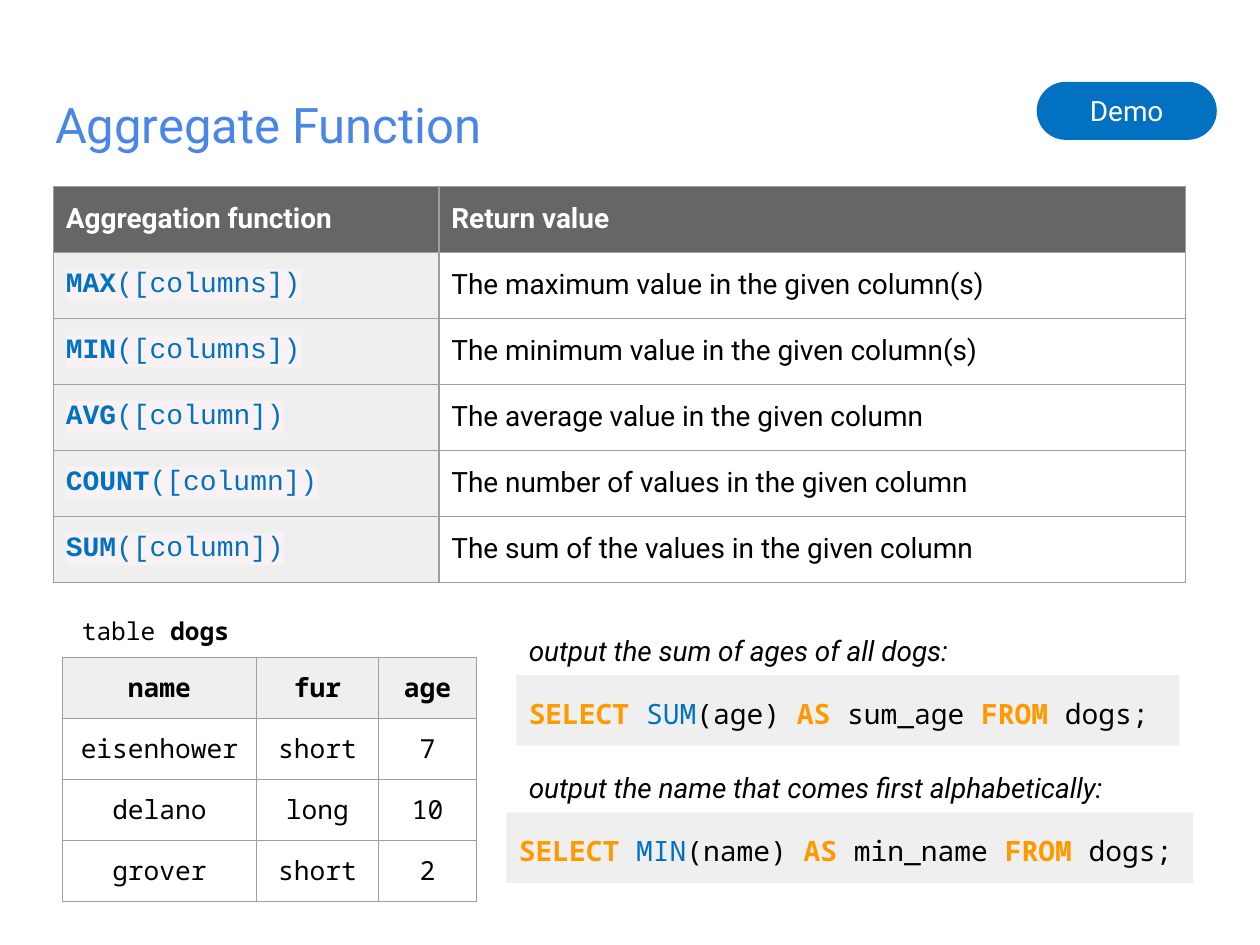
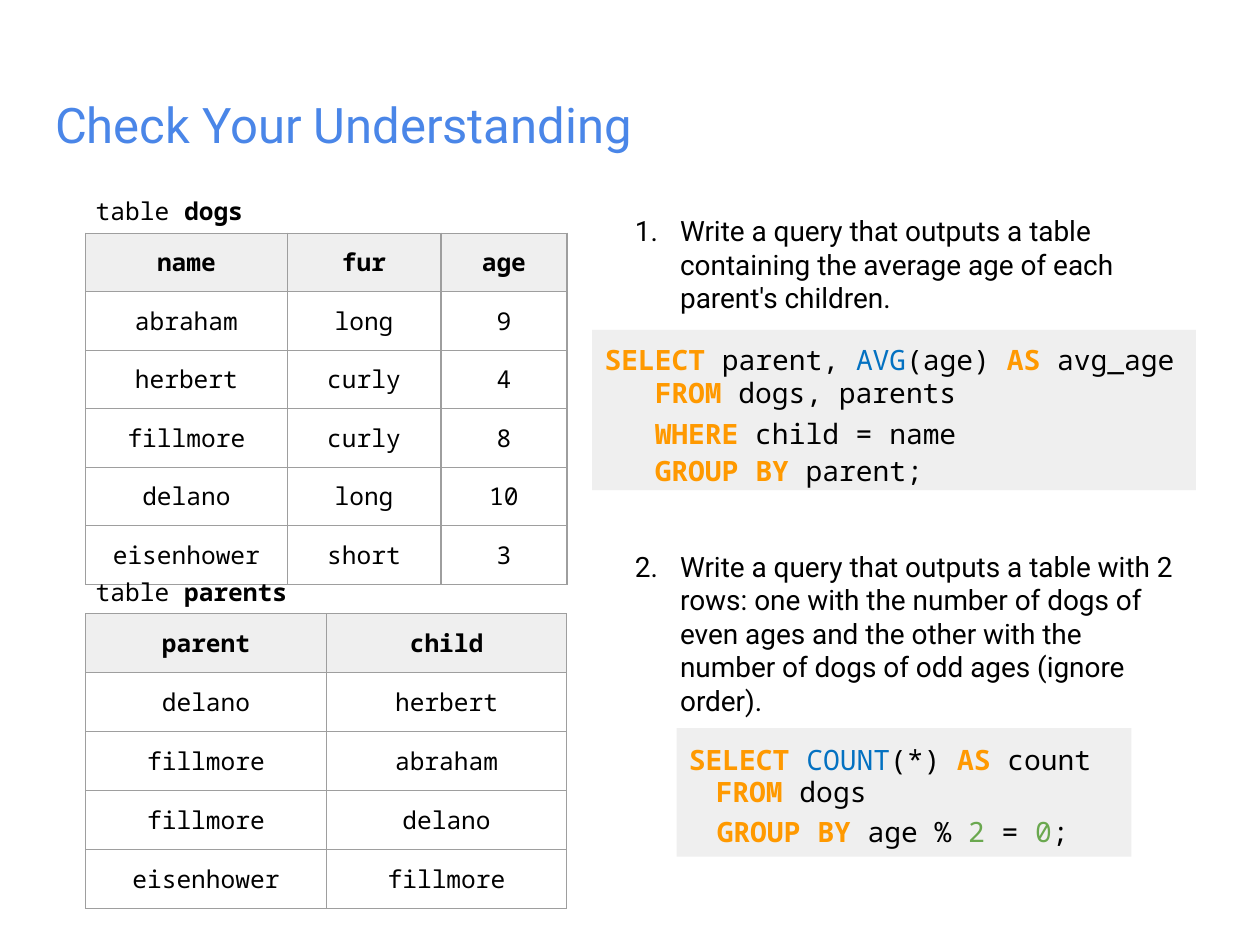
from itertools import groupby

from lxml import etree
from pptx import Presentation
from pptx.dml.color import RGBColor
from pptx.enum import shapes, text
from pptx.oxml import ns
from pptx.util import Cm, Pt

TITLE_BLUE = RGBColor(0x4A, 0x86, 0xE8)
BLUE = RGBColor(0x03, 0x71, 0xC1)
ORANGE = RGBColor(0xFF, 0x99, 0x00)
GREEN = RGBColor(0x6A, 0xA8, 0x4F)
BLACK = RGBColor(0, 0, 0)
WHITE = RGBColor(0xFF, 0xFF, 0xFF)
DARK = RGBColor(0x66, 0x66, 0x66)
PALE = RGBColor(0xEF, 0xEF, 0xEF)
BORDER = RGBColor(0x9E, 0x9E, 0x9E)
HIGHLIGHT = RGBColor(0xF9, 0xF2, 0xF4)

SANS, MONO, COURIER = "Roboto", "Noto Sans Mono", "Courier New"
INSET, TALL_INSET = 0.25, 0.33
KEYWORDS = {"SELECT", "AS", "FROM", "WHERE", "GROUP", "BY"}
FUNCTIONS = {"SUM", "MIN", "AVG", "COUNT"}

AGGREGATES = [
    ("Aggregation function", "Return value"),
    ("MAX([columns])", "The maximum value in the given column(s)"),
    ("MIN([columns])", "The minimum value in the given column(s)"),
    ("AVG([column])", "The average value in the given column"),
    ("COUNT([column])", "The number of values in the given column"),
    ("SUM([column])", "The sum of the values in the given column"),
]
EXAMPLES = [
    ("output the sum of ages of all dogs:", 12.52, 10.87,
     "SELECT SUM(age) AS sum_age FROM dogs;", 10.41, 13.36),
    ("output the name that comes first alphabetically:", 15.29, 13.84,
     "SELECT MIN(name) AS min_name FROM dogs;", 10.21, 13.84),
]
DOGS = [
    ("name", "fur", "age"),
    ("eisenhower", "short", "7"),
    ("delano", "long", "10"),
    ("grover", "short", "2"),
]
MORE_DOGS = [
    ("name", "fur", "age"),
    ("abraham", "long", "9"),
    ("herbert", "curly", "4"),
    ("fillmore", "curly", "8"),
    ("delano", "long", "10"),
    ("eisenhower", "short", "3"),
]
PARENTS = [
    ("parent", "child"),
    ("delano", "herbert"),
    ("fillmore", "abraham"),
    ("fillmore", "delano"),
    ("eisenhower", "fillmore"),
]
QUESTIONS = [
    ("Write a query that outputs a table containing the average age of each "
     "parent's children.", 0),
    ("Write a query that outputs a table with 2 rows: one with the number of dogs "
     "of even ages and the other with the number of dogs of odd ages (ignore order).", 134),
]
ANSWERS = [
    ((11.94, 6.65, 12.17, 3.23), [
        ("SELECT parent, AVG(age) AS avg_age", 0, 0),
        ("FROM dogs, parents", 1.01, 0.67),
        ("WHERE child = name", 1.01, 1.5),
        ("GROUP BY parent;", 1.01, 2.24),
    ]),
    ((13.64, 14.68, 9.17, 2.59), [
        ("SELECT COUNT(*) AS count", 0, 0.03),
        ("FROM dogs", 0.54, 0.69),
        ("GROUP BY age % 2 = 0;", 0.56, 1.5),
    ]),
]


def add_xml(parent, tag, **attributes):
    return etree.SubElement(parent, ns.qn(tag), attributes)


def style(run, size, font, color, bold=False, italic=False):
    run.font.size, run.font.name = Pt(size), font
    run.font.bold, run.font.italic = bold, italic
    run.font.color.rgb = color


def write(paragraph, words, size, font, color, **look):
    run = paragraph.add_run()
    run.text = words
    style(run, size, font, color, **look)
    return run


def write_code(paragraph, code):
    for is_word, letters in groupby(code, lambda c: c.isalnum() or c == "_"):
        token = "".join(letters)
        color = BLACK
        if token in KEYWORDS:
            color = ORANGE
        elif token in FUNCTIONS:
            color = BLUE
        elif token.isdigit():
            color = GREEN
        write(paragraph, token, 16, MONO, color, bold=token in KEYWORDS)


def set_frame(frame, anchor=text.MSO_ANCHOR.TOP):
    frame.word_wrap = True
    frame.auto_size = text.MSO_AUTO_SIZE.NONE
    frame.vertical_anchor = anchor
    frame.margin_left = frame.margin_right = Cm(INSET)
    frame.margin_top = frame.margin_bottom = Cm(INSET)


def place(shape, left, top, width, height):
    shape.left, shape.top = Cm(left), Cm(top)
    shape.width, shape.height = Cm(width), Cm(height)


def add_slide(deck, layout, heading):
    slide = deck.slides.add_slide(deck.slide_layouts[layout])
    title = slide.shapes.title
    place(title, 0.86, 1.65, 23.67, 2.11)
    set_frame(title.text_frame)
    title.text_frame.text = heading
    line = title.text_frame.paragraphs[0]
    line.alignment = text.PP_ALIGN.LEFT
    style(line.runs[0], 28, SANS, TITLE_BLUE)
    return slide


def add_line(slide, left, top, width, height=0.84):
    box = slide.shapes.add_textbox(Cm(left), Cm(top), Cm(width), Cm(height))
    set_frame(box.text_frame)
    return box.text_frame.paragraphs[0]


def add_block(slide, bounds, color, kind=shapes.MSO_SHAPE.RECTANGLE):
    block = slide.shapes.add_shape(kind, *map(Cm, bounds))
    block.shadow.inherit = False
    block.fill.solid()
    block.fill.fore_color.rgb = color
    block.line.fill.background()
    set_frame(block.text_frame, text.MSO_ANCHOR.MIDDLE)
    return block


def add_border(cell):
    properties = cell._tc.get_or_add_tcPr()
    for index, side in enumerate(("a:lnL", "a:lnR", "a:lnT", "a:lnB")):
        edge = etree.Element(ns.qn(side), w=str(Pt(0.75)))
        add_xml(add_xml(edge, "a:solidFill"), "a:srgbClr", val=str(BORDER))
        properties.insert(index, edge)


def add_grid(slide, rows, left, top, widths, row_height, inset, fill_of, write_cell):
    frame = slide.shapes.add_table(len(rows), len(widths), Cm(left), Cm(top),
                                   Cm(sum(widths)), Cm(row_height * len(rows)))
    grid = frame.table
    grid.first_row = grid.horz_banding = False
    for column, width in zip(grid.columns, widths):
        column.width = Cm(width)
    for r, row in enumerate(rows):
        grid.rows[r].height = Cm(row_height)
        for c, words in enumerate(row):
            cell = grid.cell(r, c)
            cell.margin_left = cell.margin_right = Cm(INSET)
            cell.margin_top = cell.margin_bottom = Cm(inset)
            cell.fill.solid()
            cell.fill.fore_color.rgb = fill_of(r, c)
            add_border(cell)
            write_cell(cell.text_frame.paragraphs[0], words, r, c)


def add_data_table(slide, name, rows, label_at, grid_at, widths, row_height, size=14):
    def write_cell(paragraph, words, r, c):
        paragraph.alignment = text.PP_ALIGN.CENTER
        write(paragraph, words, size, MONO, BLACK, bold=r == 0)

    add_grid(slide, rows, *grid_at, widths, row_height, INSET,
             lambda r, c: WHITE if r else PALE, write_cell)
    label = add_line(slide, *label_at, 5.41)
    write(label, "table ", 14, MONO, BLACK)
    write(label, name, 14, MONO, BLACK, bold=True)


def write_aggregate(paragraph, words, r, c):
    if r == 0:
        write(paragraph, words, 16, SANS, WHITE, bold=True)
    elif c == 1:
        write(paragraph, words, 16, SANS, BLACK)
    else:
        function, bracket, arguments = words.partition("(")
        for part, bold in ((function, True), (bracket + arguments, False)):
            run = write(paragraph, part, 16, COURIER, BLUE, bold=bold)
            mark = etree.Element(ns.qn("a:highlight"))
            add_xml(mark, "a:srgbClr", val=str(HIGHLIGHT))
            run.font._element.find(ns.qn("a:solidFill")).addnext(mark)


def aggregate_fill(r, c):
    if r == 0:
        return DARK
    return WHITE if c else PALE


def build_aggregates(deck):
    slide = add_slide(deck, 5, "Aggregate Function")
    add_grid(slide, AGGREGATES, 1.08, 3.76, (7.77, 15.04), 1.33, TALL_INSET,
             aggregate_fill, write_aggregate)
    caption_height = 1.09
    for caption, top, width, code, code_left, code_width in EXAMPLES:
        block = add_block(slide, (code_left, top + caption_height, code_width, 1.42), PALE)
        query = block.text_frame.paragraphs[0]
        query.alignment = text.PP_ALIGN.LEFT
        query.line_spacing = 1.15
        write_code(query, code)
        write(add_line(slide, 10.41, top, width, caption_height),
              caption, 16, SANS, BLACK, italic=True)
    add_data_table(slide, "dogs", DOGS, (1.4, 12.17), (1.26, 13.25),
                   (3.91, 2.46, 1.98), 1.23, size=15)
    demo = add_block(slide, (20.9, 1.65, 3.63, 1.17), BLUE,
                     shapes.MSO_SHAPE.ROUNDED_RECTANGLE)
    demo.adjustments[0] = 0.5
    demo.text_frame.text = "Demo"
    button = demo.text_frame.paragraphs[0]
    button.alignment = text.PP_ALIGN.CENTER
    style(button.runs[0], 16, SANS, WHITE)


def add_questions(slide):
    body = slide.placeholders[1]
    place(body, 12.19, 4.06, 11.91, 10.62)
    set_frame(body.text_frame)
    body.text_frame.text = "\n".join(question for question, _ in QUESTIONS)
    for paragraph, (_, gap) in zip(body.text_frame.paragraphs, QUESTIONS):
        properties = paragraph._p.get_or_add_pPr()
        properties.set("marL", str(Cm(1.27)))
        properties.set("indent", str(-Cm(0.91)))
        add_xml(add_xml(properties, "a:buClr"), "a:srgbClr", val=str(BLACK))
        add_xml(properties, "a:buFont", typeface=SANS)
        add_xml(properties, "a:buAutoNum", type="arabicPeriod")
        paragraph.space_before = Pt(gap)
        style(paragraph.runs[0], 16, SANS, BLACK)


def build_exercise(deck):
    slide = add_slide(deck, 1, "Check Your Understanding")
    add_questions(slide)
    add_data_table(slide, "dogs", MORE_DOGS, (1.68, 3.71), (1.73, 4.7),
                   (4.06, 3.1, 2.54), 1.18)
    add_data_table(slide, "parents", PARENTS, (1.68, 11.38), (1.73, 12.37),
                   (4.85, 4.85), 1.19)
    for bounds, lines in ANSWERS:
        add_block(slide, bounds, PALE)
        left, top, width, _ = bounds
        for code, indent, drop in lines:
            write_code(add_line(slide, left + indent, top + drop, width - indent), code)


def main():
    deck = Presentation()
    deck.slide_width, deck.slide_height = Cm(25.4), Cm(19.05)
    build_aggregates(deck)
    build_exercise(deck)
    deck.save("out.pptx")


if __name__ == "__main__":
    main()
